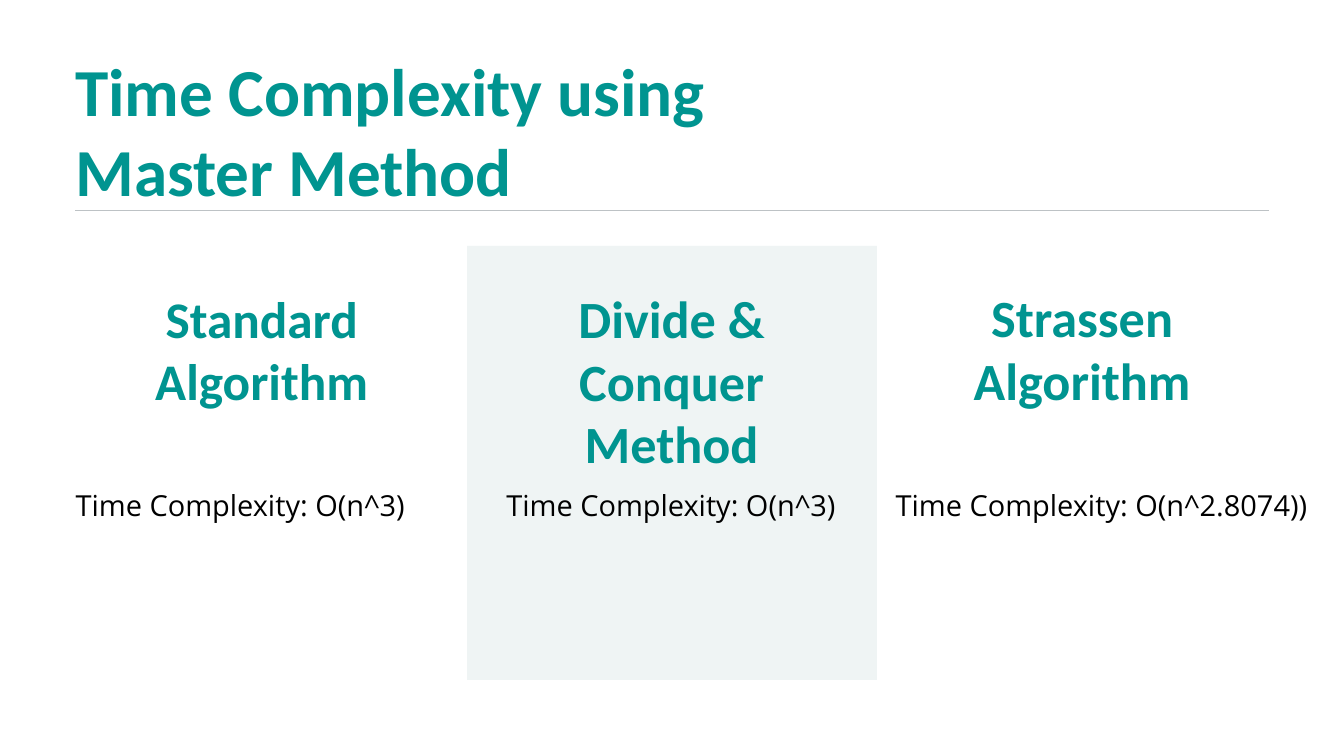
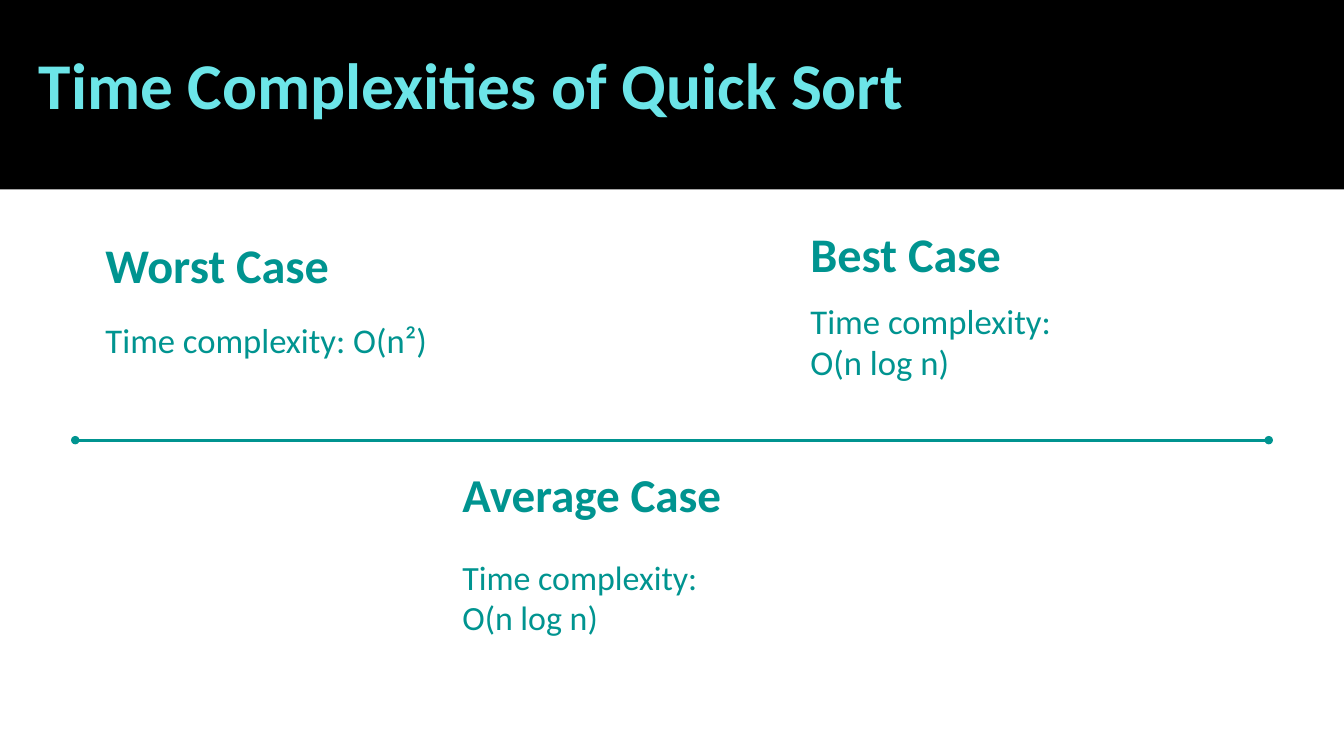
from lxml import etree
from pptx import Presentation
from pptx import util as u
from pptx.dml.color import RGBColor
from pptx.enum import shapes, text
from pptx.oxml.ns import qn

COLORS = {
    "teal": "009490",
    "aqua": "6CE5E8",
    "black": "000000",
    "panel": "EFF4F4",
    "rule": "BDC2C5",
}
HEADING_FONT = "Calibri"
BODY_FONT = "Open Sans"
LEFT_MARGIN, RIGHT_MARGIN = 1.12, 18.88

deck = Presentation()
deck.slide_width = u.Inches(20)
deck.slide_height = u.Inches(11.25)
blank = deck.slide_layouts[6]


def add_text(slide, place, wording, size, spacing, color="teal", bold=False,
             font=HEADING_FONT, align=text.PP_ALIGN.LEFT):
    frame = slide.shapes.add_textbox(*map(u.Inches, place)).text_frame
    frame.margin_left = frame.margin_top = frame.margin_right = frame.margin_bottom = 0
    frame.word_wrap = True
    frame.auto_size = text.MSO_AUTO_SIZE.SHAPE_TO_FIT_TEXT
    frame.text = wording
    for paragraph in frame.paragraphs:
        paragraph.alignment = align
        paragraph.line_spacing = u.Pt(spacing)
        for run in paragraph.runs:
            run.font.name = font
            run.font.size = u.Pt(size)
            run.font.bold = bold
            run.font.color.rgb = RGBColor.from_string(COLORS[color])


master_method = deck.slides.add_slide(blank)
quick_sort = deck.slides.add_slide(blank)

lines = []
for slide, y, color, width in [(master_method, 3.13, "rule", 0.75), (quick_sort, 6.55, "teal", 3)]:
    line = slide.shapes.add_connector(
        shapes.MSO_CONNECTOR.STRAIGHT,
        u.Inches(LEFT_MARGIN), u.Inches(y), u.Inches(RIGHT_MARGIN), u.Inches(y))
    line.line.color.rgb = RGBColor.from_string(COLORS[color])
    line.line.width = u.Pt(width)
    etree.SubElement(line._element.spPr, qn("a:effectLst"))
    lines.append(line)

title_rule, timeline = lines
outline = timeline.line._get_or_add_ln()
for end in ("a:headEnd", "a:tailEnd"):
    etree.SubElement(outline, qn(end), type="oval")

for slide, place, color in [
    (master_method, (6.95, 3.66, 6.1, 6.46), "panel"),
    (quick_sort, (-0.14, 0, 20.29, 2.82), "black"),
]:
    block = slide.shapes.add_shape(shapes.MSO_SHAPE.RECTANGLE, *map(u.Inches, place))
    block.shadow.inherit = False
    block.fill.solid()
    block.fill.fore_color.rgb = RGBColor.from_string(COLORS[color])
    block.line.fill.background()

add_text(master_method, (LEFT_MARGIN, 0.73, 11.92, 2.41),
         "Time Complexity using Master Method", 72, 86.4, bold=True)

methods = [
    ("Standard Algorithm", (1.43, 4.28, 4.93, 1.85), 55, "O(n^3)", 0.99, 5.17),
    ("Divide & Conquer Method", (7.53, 4.26, 4.93, 2.79), 56, "O(n^3)", 7.4, 5.17),
    ("Strassen Algorithm", (13.64, 4.25, 4.93, 1.86), 56, "O(n^2.8074))", 13.19, 6.4),
]
for method, place, size, bound, bound_left, bound_width in methods:
    add_text(master_method, place, method, size, size * 1.2, bold=True,
             align=text.PP_ALIGN.CENTER)
    add_text(master_method, (bound_left, 7.17, bound_width, 0.57),
             f"Time Complexity: {bound}", 31, 43.4, color="black", font=BODY_FONT,
             align=text.PP_ALIGN.CENTER)

add_text(quick_sort, (0.58, 0.66, 13.68, 1.18),
         "Time Complexities of Quick Sort", 70, 84, color="aqua", bold=True)

cases = [
    ("Worst Case", (1.57, 3.5, 5.3, 0.87), 51.7, 62,
     "Time complexity: O(n²)", (1.57, 4.74, 5.3, 0.61), 37.1, 44.6),
    ("Average Case", (6.88, 6.93, 5.18, 0.84), 50.5, 60.6,
     "Time complexity:\nO(n log n)", (6.88, 8.28, 5.18, 1.21), 36.3, 43.5),
    ("Best Case", (12.06, 3.51, 5.64, 0.71), 51.7, 49.4,
     "Time complexity:\nO(n log n)", (12.06, 4.48, 5.67, 1.67), 37.2, 43.5),
]
for case, case_place, case_size, case_spacing, bound, bound_place, bound_size, bound_spacing in cases:
    add_text(quick_sort, case_place, case, case_size, case_spacing, bold=True)
    add_text(quick_sort, bound_place, bound, bound_size, bound_spacing)

deck.save("out.pptx")
